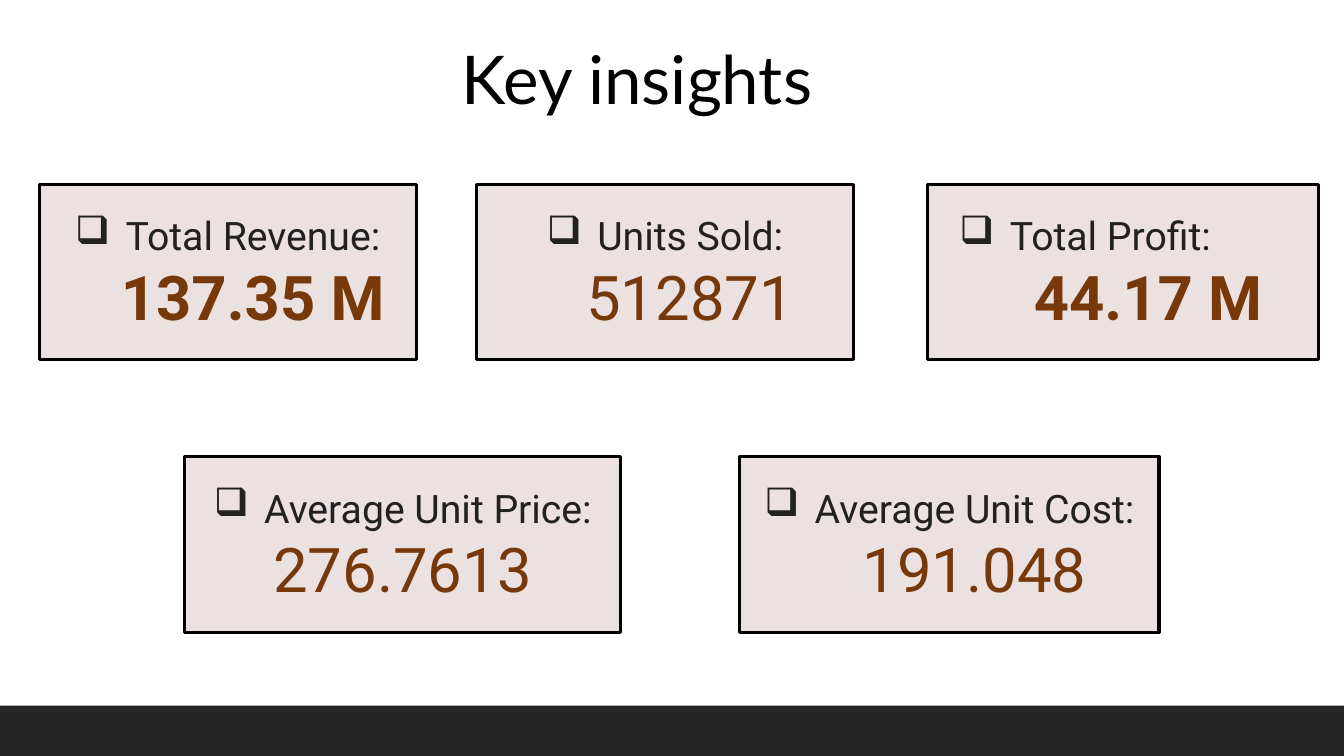
"""Build the key insights slide with five metric cards."""
from dataclasses import dataclass

from lxml.etree import SubElement
from pptx import Presentation
from pptx.dml.color import RGBColor
from pptx.enum.shapes import MSO_SHAPE
from pptx.enum.text import MSO_ANCHOR, PP_ALIGN
from pptx.oxml.ns import qn
from pptx.util import Cm, Pt

SLIDE_WIDTH, SLIDE_HEIGHT = 33.87, 19.05
FOOTER_HEIGHT = 1.27
CARD_HEIGHT = 4.42
TOP_ROW, BOTTOM_ROW = 4.65, 11.51
HANGING = 1.27


@dataclass
class Card:
    label: str
    value: str
    left: float
    top: float
    width: float
    bold: bool = False
    label_margin: float = HANGING
    label_align: PP_ALIGN = PP_ALIGN.CENTER
    value_margin: float = HANGING


CARDS = [
    Card("Total Revenue:", "137.35 M", 0.99, TOP_ROW, 9.5, bold=True),
    Card("Units Sold:", "512871", 12.01, TOP_ROW, 9.5),
    Card("Average Unit Price:", "276.7613", 4.65, BOTTOM_ROW, 11, value_margin=0),
    Card("Average Unit Cost:", "191.048", 18.64, BOTTOM_ROW, 10.57),
    Card("Total Profit:", "44.17 M", 23.37, TOP_ROW, 9.86, bold=True,
         label_margin=1.83, label_align=PP_ALIGN.LEFT),
]


def color(value: str) -> RGBColor:
    return RGBColor.from_string(value)


def add_rectangle(page, left: float, top: float, width: float, height: float, fill: str):
    box = page.shapes.add_shape(
        MSO_SHAPE.RECTANGLE, Cm(left), Cm(top), Cm(width), Cm(height))
    box.shadow.inherit = False
    box.fill.solid()
    box.fill.fore_color.rgb = color(fill)
    box.line.fill.background()
    return box


def write(para, text: str, size: int, font: str, ink: str,
          align: PP_ALIGN = PP_ALIGN.CENTER, bold: bool = False) -> None:
    para.text = text
    para.alignment = align
    span = para.runs[0]
    span.font.name = font
    span.font.size = Pt(size)
    span.font.bold = bold
    span.font.color.rgb = color(ink)


def indent(para, margin: float, first_line: float = 0, bullet: str = "") -> None:
    properties = para._p.get_or_add_pPr()
    properties.set("marL", str(Cm(margin)))
    properties.set("indent", str(Cm(first_line)))
    if bullet:
        SubElement(properties, qn("a:buChar")).set("char", bullet)


def add_card(page, card: Card) -> None:
    box = add_rectangle(page, card.left, card.top, card.width, CARD_HEIGHT, "EBE1E1")
    box.line.color.rgb = color("000000")
    box.line.width = Pt(2.25)
    frame = box.text_frame
    frame.word_wrap = True
    frame.vertical_anchor = MSO_ANCHOR.MIDDLE
    label = frame.paragraphs[0]
    write(label, card.label, 28, "Roboto", "212121", card.label_align)
    indent(label, card.label_margin, -HANGING, "❑")
    value = frame.add_paragraph()
    write(value, card.value, 44, "Roboto", "77380A", bold=card.bold)
    indent(value, card.value_margin)


def add_title(page, text: str) -> None:
    box = page.shapes.add_textbox(Cm(8.71), Cm(0.81), Cm(14.68), Cm(2.31))
    box.text_frame.word_wrap = True
    write(box.text_frame.paragraphs[0], text, 48, "Lato", "000000")


def main() -> None:
    deck = Presentation()
    deck.slide_width, deck.slide_height = Cm(SLIDE_WIDTH), Cm(SLIDE_HEIGHT)
    page = deck.slides.add_slide(deck.slide_layouts[6])
    add_rectangle(page, 0, SLIDE_HEIGHT - FOOTER_HEIGHT,
                  SLIDE_WIDTH, FOOTER_HEIGHT, "262626")
    add_title(page, "Key insights")
    for card in CARDS:
        add_card(page, card)
    deck.save("out.pptx")


if __name__ == "__main__":
    main()
